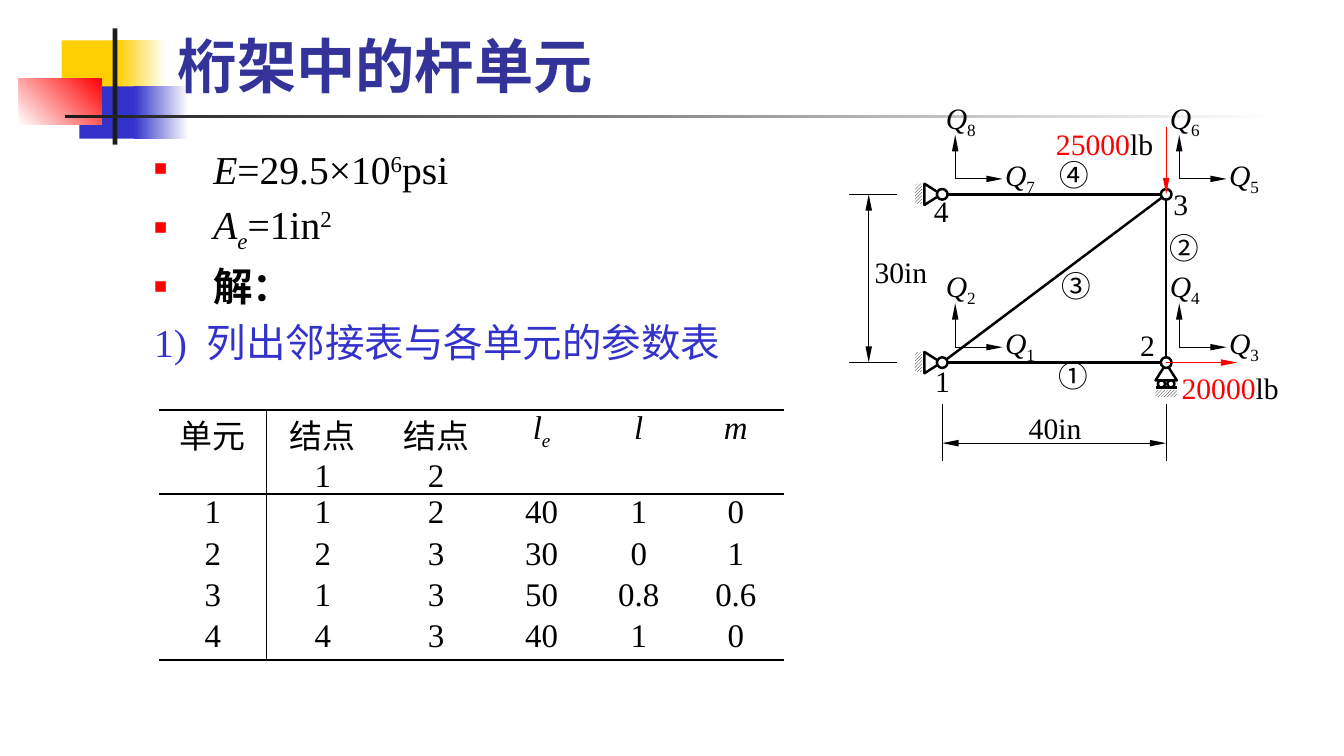
from math import hypot
from lxml.etree import SubElement
from pptx import Presentation
from pptx.dml.color import RGBColor
from pptx.enum.dml import MSO_PATTERN
from pptx.enum.shapes import MSO_CONNECTOR, MSO_SHAPE
from pptx.enum.text import MSO_ANCHOR, MSO_AUTO_SIZE, PP_ALIGN
from pptx.oxml.ns import qn
from pptx.util import Inches, Pt

SERIF, HAN = "Times New Roman", "Noto Sans CJK SC"
BLACK, WHITE, RED, BLUE = "000000", "FFFFFF", "FF0000", "3333CC"
GOLD, NAVY, COAL = "FFCF01", "333399", "1C1C1C"
BASE = {"_": "-25000", "^": "30000"}


def cell(n):
    return Inches(n / 10)


def hue(code):
    return RGBColor.from_string(code)


def style(item, form):
    for key, value in form.items():
        setattr(item, key, value)


def frame(shape, box):
    style(shape, dict(zip(("left", "top", "width", "height"), map(cell, box))))


def node(root, tag, **form):
    item = SubElement(root, qn("a:" + tag))
    for key, value in form.items():
        item.set(key, value)
    return item


def write(para, runs, size, ink=BLACK, face=SERIF):
    for text, marks, *tint in runs:
        run = para.add_run()
        run.text = text
        style(run.font, {"name": face, "size": Pt(size),
                         "bold": "b" in marks, "italic": "i" in marks})
        run.font.color.rgb = hue(tint[0] if tint else ink)
        prop = run.font._element
        node(prop, "ea", typeface=HAN)
        for mark in marks:
            if mark in BASE:
                prop.set("baseline", BASE[mark])
        if "+" in marks:
            prop.set("spc", "600")


def label(shapes, spot, runs, wide, face=SERIF):
    text = shapes.add_textbox(*map(cell, (*spot, wide, 2.9))).text_frame
    style(text, {"word_wrap": True, "margin_left": 0, "margin_right": 0,
                 "margin_top": 0, "margin_bottom": 0})
    write(text.paragraphs[0], runs, 18, face=face)


def wire(shapes, start, end, wide=0.5, ink=BLACK, heads=()):
    line = shapes.add_connector(MSO_CONNECTOR.STRAIGHT,
                                *map(cell, (*start, *end)))
    line.line.width = Pt(wide)
    line.line.color.rgb = hue(ink)
    prop = line._element.spPr
    for head in heads:
        node(prop.find(qn("a:ln")), head, type="triangle", w="sm", len="lg")
    node(prop, "effectLst")


def plain(shapes, kind, box):
    shape = shapes.add_shape(kind, *map(cell, box))
    shape.shadow.inherit = False
    return shape


def edge(shape):
    shape.shadow.inherit = False
    shape.fill.background()
    shape.line.width = Pt(1.5)
    shape.line.color.rgb = hue(BLACK)


def ring(shapes, x, y, size):
    box = (x - size / 2, y - size / 2, size, size)
    edge(plain(shapes, MSO_SHAPE.OVAL, box))


def hatch(shapes, box):
    shape = plain(shapes, MSO_SHAPE.RECTANGLE, box)
    shape.line.fill.background()
    shape.fill.patterned()
    shape.fill.pattern = MSO_PATTERN.LIGHT_UPWARD_DIAGONAL
    shape.fill.fore_color.rgb = hue(BLACK)
    shape.fill.back_color.rgb = hue(WHITE)


def wedge(shapes, spots):
    first, *rest = [tuple(map(cell, spot)) for spot in spots]
    form = shapes.build_freeform(*first)
    form.add_line_segments(rest, close=False)
    edge(form.convert_to_shape())


def badge(shapes, box):
    left, top = box
    parts = [((3.6, 1, 5.4, 4.4), (GOLD,), 0),
             ((8.3, 1, 4.1, 4.4), (GOLD, WHITE), 0),
             ((5.1, 4.9, 5.2, 4.4), (BLUE,), 0),
             ((9.7, 4.9, 4.6, 4.4), (BLUE, WHITE), 0),
             ((0, 4.2, 7, 3.9), (WHITE, RED), 45),
             ((7.9, 0, 0.4, 9.8), (COAL,), 0),
             ((3.9, 7.3, 102, 0.3), (COAL, WHITE), 0)]
    for (x, y, wide, high), inks, angle in parts:
        shape = plain(shapes, MSO_SHAPE.RECTANGLE,
                      (left + x, top + y, wide, high))
        shape.line.fill.background()
        if len(inks) == 1:
            shape.fill.solid()
            shape.fill.fore_color.rgb = hue(inks[0])
            continue
        shape.fill.gradient()
        shape.fill.gradient_angle = angle
        for stop, ink in zip(shape.fill.gradient_stops, inks):
            stop.color.rgb = hue(ink)


def holder(shape, box, anchor):
    frame(shape, box)
    text = shape.text_frame
    style(text, {"word_wrap": True, "auto_size": MSO_AUTO_SIZE.NONE,
                 "vertical_anchor": anchor,
                 "margin_left": cell(0.9), "margin_right": cell(0.9),
                 "margin_top": cell(0.4), "margin_bottom": cell(0.4)})
    return text


def title(shape, box):
    para = holder(shape, box, MSO_ANCHOR.BOTTOM).paragraphs[0]
    para.alignment = PP_ALIGN.LEFT
    write(para, [("桁架中的杆单元", "b")], 36, NAVY)


def body(shape, box):
    text = holder(shape, box, MSO_ANCHOR.TOP)
    lines = [[("E", "i"), ("=29.5×10", ""), ("6", "^"), ("psi", "")],
             [("A", "i"), ("e", "i_"), ("=1in", ""), ("2", "^")],
             [("解：", "b")],
             [("1)", "", BLUE), (" ", "+", BLUE),
              ("列出邻接表与各单元的参数表", "", BLUE)]]
    for row, runs in enumerate(lines):
        para = text.add_paragraph() if row else text.paragraphs[0]
        para.level = 1
        prop = para._p.get_or_add_pPr()
        prop.set("marL", str(cell(9.3)))
        prop.set("indent", str(cell(-5)))
        if row < 3:
            node(node(prop, "buClr"), "srgbClr", val=RED)
            node(prop, "buSzPct", val="55000")
            node(prop, "buFont", typeface=SERIF)
            node(prop, "buChar", char="■")
        else:
            node(prop, "buNone")
        style(para, {"space_before": Pt(5 if row else 0),
                     "alignment": PP_ALIGN.LEFT})
        write(para, runs, 24)


def border(prop, side, wide):
    line = node(prop, "ln" + side, w=str(Pt(wide)))
    if wide:
        node(node(line, "solidFill"), "srgbClr", val=BLACK)
    else:
        node(line, "noFill")


def grid(shapes, box):
    head = [[("单元", "")], [("结点 1", "")], [("结点 2", "")],
            [("l", "i"), ("e", "i_")], [("l", "i")], [("m", "i")]]
    data = ["1 1 2 40 1 0", "2 2 3 30 0 1", "3 1 3 50 0.8 0.6", "4 4 3 40 1 0"]
    rows = [head] + [[[(word, "")] for word in line.split()] for line in data]
    table = shapes.add_table(len(rows), len(head), *map(cell, box)).table
    style(table, {"first_row": False, "horz_banding": False})
    for col, wide in zip(table.columns, (9.1, 9.5, 9.6, 8.2, 8.2, 8.2)):
        col.width = cell(wide)
    for r, line in enumerate(rows):
        table.rows[r].height = cell(3.5 if r else 7.1)
        for c, runs in enumerate(line):
            item = table.cell(r, c)
            side = cell(0.7 if r else 1.2)
            style(item, {"margin_left": side, "margin_right": side,
                         "margin_top": 0, "margin_bottom": 0})
            prop = item._tc.get_or_add_tcPr()
            border(prop, "L", int(c == 1))
            border(prop, "R", int(c == 0))
            border(prop, "T", {0: 1.5, 1: 1}.get(r, 0))
            border(prop, "B", {0: 1, len(data): 1.5}.get(r, 0))
            item.fill.background()
            para = item.text_frame.paragraphs[0]
            para.alignment = PP_ALIGN.CENTER
            write(para, runs, 20)


def truss(shapes, box):
    left, top, wide, high = box
    right, base = left + wide, top + high
    pins = [(left, base), (right, base), (right, top), (left, top)]
    for a, b in ((0, 1), (1, 2), (0, 2), (3, 2)):
        (x, y), (u, v) = pins[a], pins[b]
        cut = 0.45 / hypot(u - x, v - y)
        dx, dy = (u - x) * cut, (v - y) * cut
        wire(shapes, (x + dx, y + dy), (u - dx, v - dy), 1.5)
    for x, y in pins:
        ring(shapes, x, y, 0.9)
    for y in (top, base):
        hatch(shapes, (left - 2.3, y - 0.9, 0.6, 1.7))
        wedge(shapes, [(left + dx, y + dy) for dx, dy in
                       ((-0.4, -0.2), (-1.5, -0.9), (-1.5, 0.9), (-0.4, 0.2))])
        wire(shapes, (left - 3.8, y), (left - 7.9, y))
    wedge(shapes, [(right + dx, base + dy) for dx, dy in
                   ((-0.2, 0.4), (-0.9, 1.5), (0.9, 1.5), (0.2, 0.4))])
    for dx in (-0.4, 0.4):
        ring(shapes, right + dx, base + 1.8, 0.6)
    wire(shapes, (right - 0.9, base + 2.1), (right + 0.9, base + 2.1), 1.5)
    hatch(shapes, (right - 0.9, base + 2.3, 1.8, 0.6))
    for x in (left, right):
        wire(shapes, (x, base + 3.5), (x, base + 8.3))
    both = ("headEnd", "tailEnd")
    wire(shapes, (left, base + 6.8), (right, base + 6.8), heads=both)
    wire(shapes, (left - 6.2, top), (left - 6.2, base), heads=both)
    wire(shapes, (right, base), (right + 6, base), ink=RED, heads=both[1:])
    wire(shapes, (right, top - 5.7), (right, top), ink=RED, heads=both[1:])
    for i, (x, y) in enumerate(pins):
        root = (x + 1.1, y - 1.3)
        wire(shapes, root, (x + 5.1, y - 1.3), heads=both[1:])
        wire(shapes, root, (x + 1.1, y - 5), heads=both[1:])
        for n, dx, dy in ((1, 5.3, -3.2), (2, 0.3, -8)):
            runs = [("Q", "i"), (str(2 * i + n), "_")]
            label(shapes, (x + dx, y + dy), runs, 2.8)
    spots = ((-0.6, 14.2), (16.7, 11.2), (19.5, -0.7), (-0.7, -0.1))
    rods = ((9.8, 13.8), (19.2, 3), (10.1, 6.2), (9.9, -3.2))
    for i, (dx, dy) in enumerate(spots):
        label(shapes, (left + dx, top + dy), [(str(i + 1), "")], 1.7)
    for sign, (dx, dy) in zip("①②③④", rods):
        label(shapes, (left + dx, top + dy), [(sign, "")], 2.6, HAN)
    for dx, dy, runs in ((-5.7, 5, [("30in", "")]),
                         (7.3, 18.2, [("40in", "")]),
                         (20.2, 14.8, [("20000", "", RED), ("lb", "")]),
                         (9.6, -5.8, [("25000", "", RED), ("lb", "")])):
        label(shapes, (left + dx, top + dy), runs, 9.5)


def main():
    deck = Presentation()
    style(deck, {"slide_width": cell(113.4), "slide_height": cell(63.8)})
    shapes = deck.slides.add_slide(deck.slide_layouts[1]).shapes
    head, text = shapes.title, shapes.placeholders[1]
    badge(shapes, (1.6, 2.4))
    for item in (text, head):
        shapes._spTree.append(item._element)
    body(text, (7.8, 11.8, 101.7, 47.1))
    title(head, (14.1, 2, 96.7, 6.9))
    truss(shapes, (79.5, 16.4, 18.9, 14.2))
    grid(shapes, (13.4, 34.6, 52.8, 21.1))
    deck.save("out.pptx")


if __name__ == "__main__":
    main()
